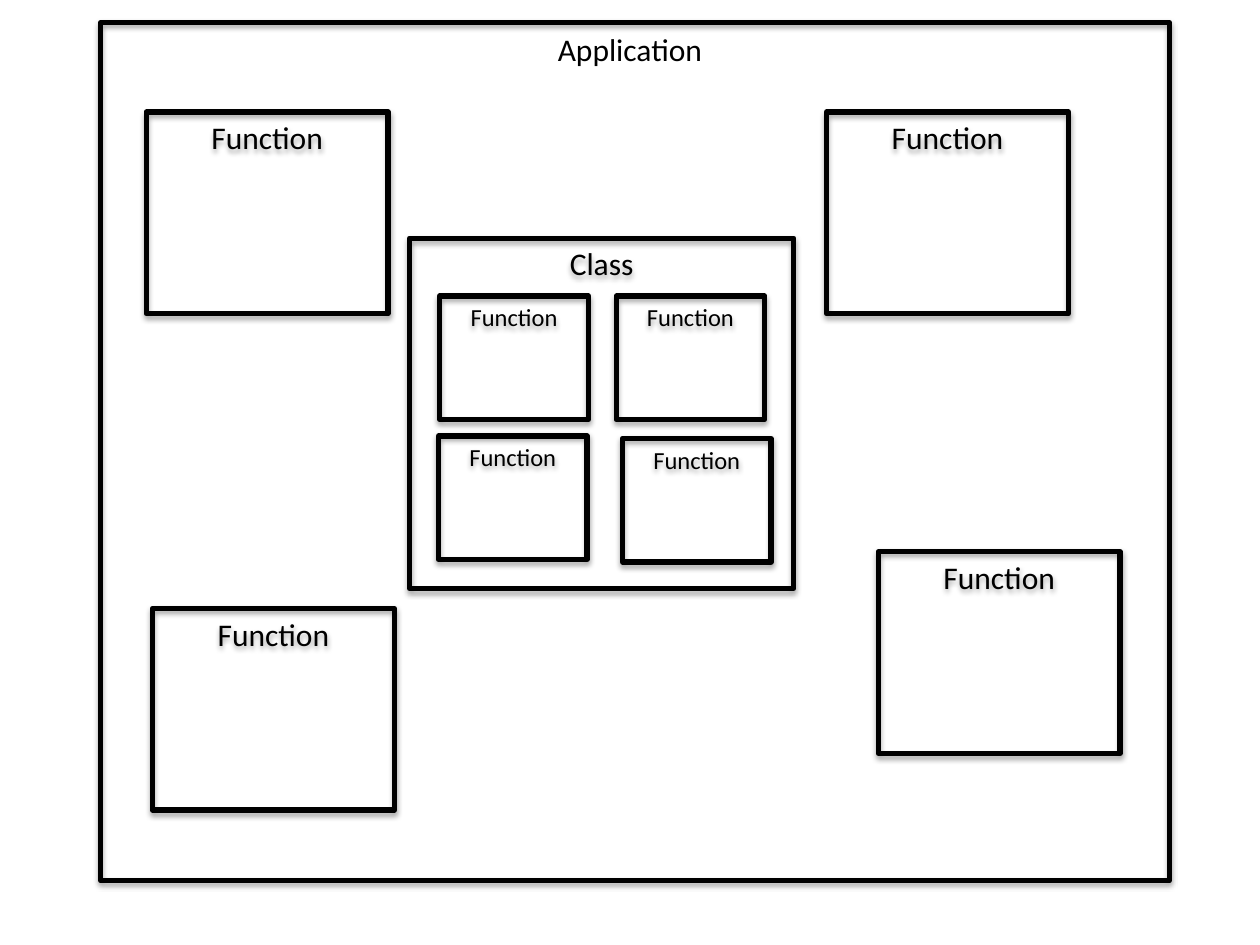
import dataclasses

import lxml.etree
import pptx
import pptx.dml.color
import pptx.enum.shapes
import pptx.enum.text
import pptx.oxml.ns
import pptx.util


@dataclasses.dataclass(frozen=True)
class Theme:
    """Colours, type sizes and line and shadow measures."""

    ink: pptx.dml.color.RGBColor = pptx.dml.color.RGBColor(0, 0, 0)
    font: str = "Calibri"
    title_size: float = 18
    method_size: float = 14
    line_width: float = 3
    shadow_blur: float = 3.15
    shadow_distance: float = 1.81
    shadow_opacity: int = 35


@dataclasses.dataclass(frozen=True)
class Box:
    """An outlined block of the application, in inches and points."""

    label: str
    left: float
    top: float
    width: float
    height: float
    text_size: float = Theme.title_size


THEME = Theme()
FUNCTION_SIZE = (1.92, 1.6)
METHOD_SIZE = (1.18, 0.98)
FUNCTION_POSITIONS = [(1.16, 0.89), (6.56, 0.89), (1.21, 4.83), (6.97, 4.38)]
METHOD_POSITIONS = [(3.49, 2.35), (4.89, 2.35), (3.48, 3.46), (4.94, 3.48)]
APPLICATION = Box("", 0.8, 0.18, 8.48, 6.81)
CLASS = Box("Class", 3.25, 1.89, 3.05, 2.78)
FUNCTIONS = [Box("Function", *position, *FUNCTION_SIZE) for position in FUNCTION_POSITIONS]
METHODS = [
    Box("Function", *position, *METHOD_SIZE, THEME.method_size)
    for position in METHOD_POSITIONS
]


def write_label(shape, label: str, size: float) -> None:
    """Write a centred label at the top of a shape."""
    frame = shape.text_frame
    frame.word_wrap = True
    frame.vertical_anchor = pptx.enum.text.MSO_ANCHOR.TOP
    frame.text = label
    paragraph = frame.paragraphs[0]
    paragraph.alignment = pptx.enum.text.PP_ALIGN.CENTER
    for run in paragraph.runs:
        run.font.name = THEME.font
        run.font.size = pptx.util.Pt(size)
        run.font.color.rgb = THEME.ink


def add_shadow(shape) -> None:
    """Give a shape a soft shadow falling straight down."""
    shape.shadow.inherit = False
    qualified = pptx.oxml.ns.qn
    effects = shape._element.spPr.find(qualified("a:effectLst"))
    shadow = lxml.etree.SubElement(
        effects,
        qualified("a:outerShdw"),
        blurRad=str(pptx.util.Pt(THEME.shadow_blur)),
        dist=str(pptx.util.Pt(THEME.shadow_distance)),
        dir=str(90 * 60000),
        rotWithShape="0",
    )
    colour = lxml.etree.SubElement(shadow, qualified("a:srgbClr"), val=str(THEME.ink))
    lxml.etree.SubElement(colour, qualified("a:alpha"), val=str(THEME.shadow_opacity * 1000))


def add_box(slide, box: Box) -> None:
    """Draw an unfilled, outlined and labelled box."""
    shape = slide.shapes.add_shape(
        pptx.enum.shapes.MSO_SHAPE.RECTANGLE,
        *map(pptx.util.Inches, (box.left, box.top, box.width, box.height)),
    )
    shape.fill.background()
    shape.line.color.rgb = THEME.ink
    shape.line.width = pptx.util.Pt(THEME.line_width)
    add_shadow(shape)
    if box.label:
        write_label(shape, box.label, box.text_size)


def add_title(slide, label: str) -> None:
    """Write the application's name across the top of the slide."""
    title = slide.shapes.add_textbox(*map(pptx.util.Inches, (0, 0.19, 10, 0.4)))
    write_label(title, label, THEME.title_size)
    title.text_frame.auto_size = pptx.enum.text.MSO_AUTO_SIZE.SHAPE_TO_FIT_TEXT


def main() -> None:
    """Build the slide and save it."""
    presentation = pptx.Presentation()
    presentation.slide_width = pptx.util.Inches(10)
    presentation.slide_height = pptx.util.Inches(7.5)
    slide = presentation.slides.add_slide(presentation.slide_layouts[6])
    add_box(slide, APPLICATION)
    add_title(slide, "Application")
    for box in [CLASS, *FUNCTIONS, *METHODS]:
        add_box(slide, box)
    presentation.save("out.pptx")


if __name__ == "__main__":
    main()
